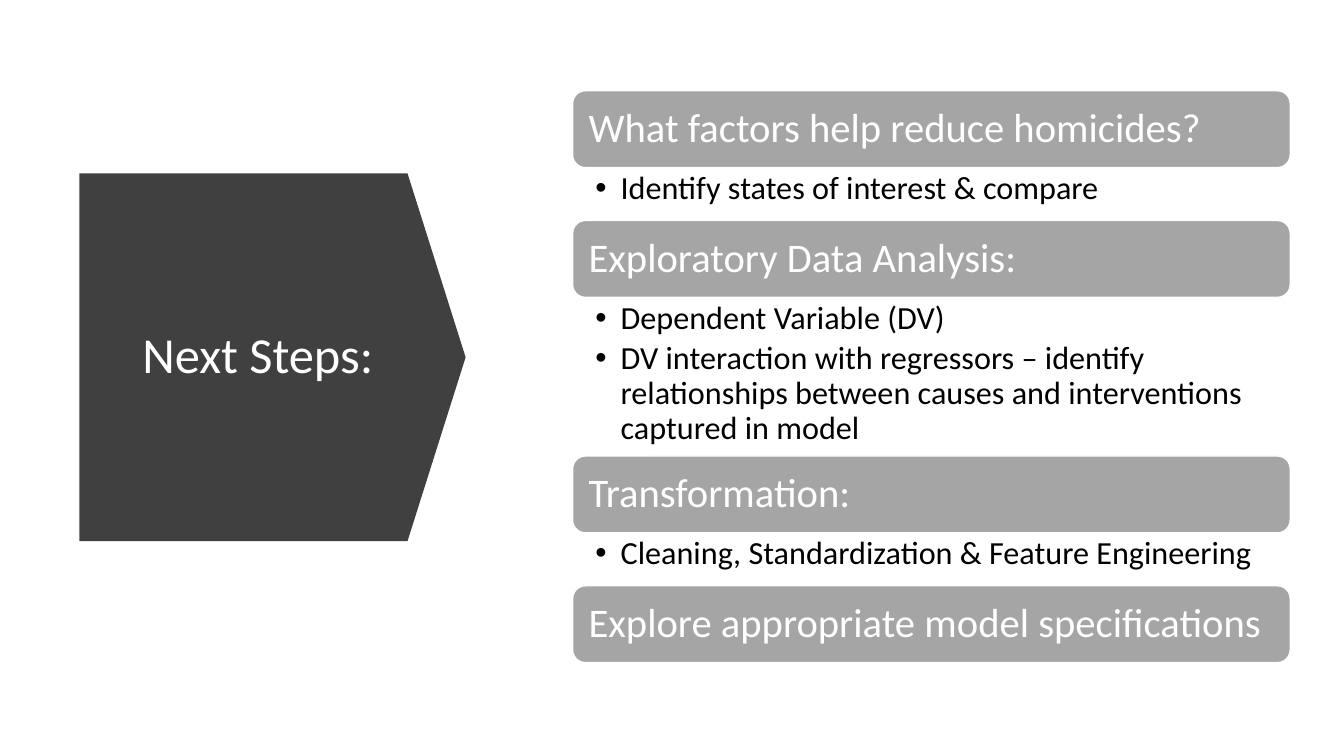
import pptx
import pptx.dml.color
import pptx.enum.shapes
import pptx.enum.text
import pptx.oxml
import pptx.oxml.ns
import pptx.util

Pt = pptx.util.Pt
ANCHOR = pptx.enum.text.MSO_ANCHOR
ALIGN = pptx.enum.text.PP_ALIGN
SHAPE = pptx.enum.shapes.MSO_SHAPE

COLOURS = {"arrow": "404040", "bar": "A5A5A5", "light": "FFFFFF", "dark": "000000"}
BAR_HEIGHT = 54.9

# Heading, bullets, height of the bullet area
STEPS = [
    ("What factors help reduce homicides?",
     ["Identify states of interest & compare"], 37.8),
    ("Exploratory Data Analysis:",
     ["Dependent Variable (DV)",
      "DV interaction with regressors – identify relationships between "
      "causes and interventions captured in model"], 113.3),
    ("Transformation:",
     ["Cleaning, Standardization & Feature Engineering"], 37.8),
    ("Explore appropriate model specifications", [], 0),
]


def colour(name):
    return pptx.dml.color.RGBColor.from_string(COLOURS[name])


def set_all(target, values):
    for name, value in values.items():
        setattr(target, name, value)


def set_frame(frame, anchor, side, end):
    set_all(frame, {
        "word_wrap": True, "auto_size": pptx.enum.text.MSO_AUTO_SIZE.NONE,
        "vertical_anchor": anchor, "margin_left": Pt(side), "margin_right": Pt(side),
        "margin_top": Pt(end), "margin_bottom": Pt(end)})


def write(para, text, size, ink, align=ALIGN.LEFT, after=0):
    set_all(para, {"alignment": align, "line_spacing": 0.9,
                   "space_before": Pt(0), "space_after": Pt(after)})
    span = para.add_run()
    span.text = text
    set_all(span.font, {"name": "Calibri", "size": Pt(size)})
    span.font.color.rgb = colour(ink)


def add_bullet(para, indent):
    properties = para._p.get_or_add_pPr()
    properties.set("marL", str(Pt(indent)))
    properties.set("indent", str(-Pt(indent)))
    namespace = pptx.oxml.ns.nsdecls("a")
    for tag in (f'<a:buFont {namespace} typeface="Arial"/>',
                f'<a:buChar {namespace} char="•"/>'):
        properties.append(pptx.oxml.parse_xml(tag))


def add_filled(page, kind, box, fill):
    shape = page.shapes.add_shape(kind, *map(Pt, box))
    shape.shadow.inherit = False
    shape.fill.solid()
    shape.fill.fore_color.rgb = colour(fill)
    return shape


def build_title(page, left, top, width, height):
    # Arrow pointing right: a down arrow turned about its centre
    arrow = add_filled(page, SHAPE.DOWN_ARROW,
                       (left + (width - height) / 2, top + (height - width) / 2,
                        height, width), "arrow")
    arrow.rotation = 270
    arrow.adjustments[0] = 1
    arrow.adjustments[1] = 0.158
    arrow.line.fill.background()

    # Title in front of the arrow
    title = page.shapes.title
    set_all(title, {"left": Pt(left + 23.8), "top": Pt(top + 31),
                    "width": Pt(207.4), "height": Pt(200.9)})
    set_frame(title.text_frame, ANCHOR.MIDDLE, 7.2, 3.6)
    write(title.text_frame.paragraphs[0], "Next Steps:", 36, "light", ALIGN.CENTER)
    page.shapes._spTree.append(title._element)


def build_steps(page, left, top, width):
    for heading, bullets, bullets_height in STEPS:
        # Heading bar
        bar = add_filled(page, SHAPE.ROUNDED_RECTANGLE,
                         (left, top, width, BAR_HEIGHT), "bar")
        bar.line.color.rgb = colour("light")
        bar.line.width = Pt(1)
        set_frame(bar.text_frame, ANCHOR.MIDDLE, 8.7, 8.7)
        write(bar.text_frame.paragraphs[0], heading, 29, "light")
        top += BAR_HEIGHT

        # Bullets under the bar
        if bullets:
            area = page.shapes.add_textbox(*map(Pt, (left, top, width, bullets_height)))
            frame = area.text_frame
            set_frame(frame, ANCHOR.TOP, 16.3, 2.9)
            for index, text in enumerate(bullets):
                para = frame.add_paragraph() if index else frame.paragraphs[0]
                write(para, text, 23, "dark", after=4)
                add_bullet(para, 18)
            top += bullets_height


def main():
    deck = pptx.Presentation()
    set_all(deck, {"slide_width": Pt(960), "slide_height": Pt(540)})
    page = deck.slides.add_slide(deck.slide_layouts[5])
    build_title(page, 56.8, 123.8, 275.8, 262.8)
    build_steps(page, 409, 64.8, 512.6)
    deck.save("out.pptx")


if __name__ == "__main__":
    main()
